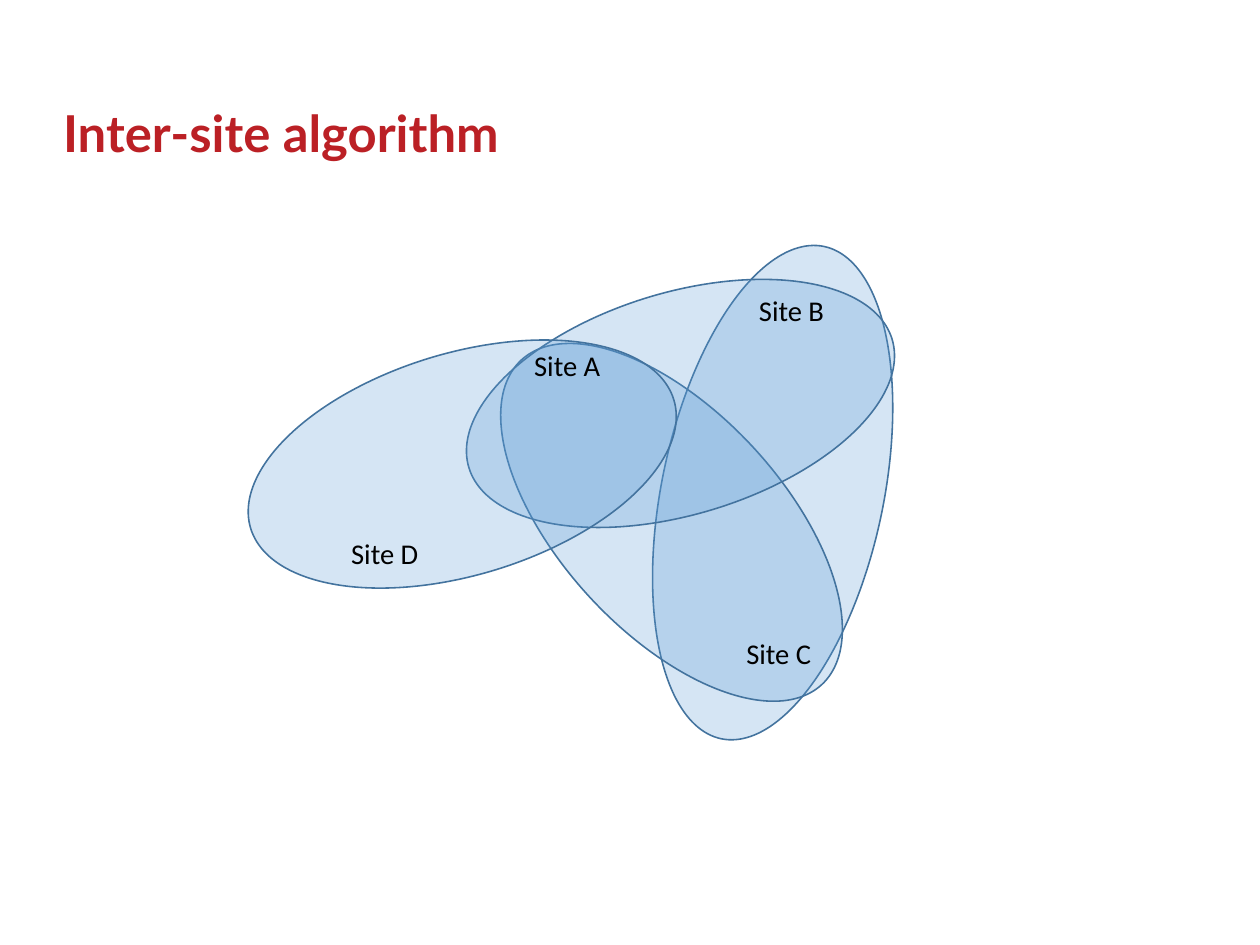
from lxml import etree
from pptx import Presentation
from pptx.dml.color import RGBColor
from pptx.enum.shapes import MSO_SHAPE
from pptx.enum.text import MSO_ANCHOR, MSO_AUTO_SIZE, PP_ALIGN
from pptx.oxml.ns import qn
from pptx.util import Pt

ELLIPSE = MSO_SHAPE.OVAL
MIDDLE = MSO_ANCHOR.MIDDLE
LEFT = PP_ALIGN.LEFT
NO_FIT = MSO_AUTO_SIZE.NONE
FIT_SHAPE = MSO_AUTO_SIZE.SHAPE_TO_FIT_TEXT
TITLE_ONLY = 5

COLORS = {
    "title": "BB2025",
    "overlap": "5B9BD5",
    "outline": "43739E",
    "label": "000000",
}


def color(name):
    return RGBColor.from_string(COLORS[name])


def style_text(paragraph, font_name, size, color_name, bold):
    for run in paragraph.runs:
        run.font.name = font_name
        run.font.size = Pt(size)
        run.font.bold = bold
        run.font.color.rgb = color(color_name)


prs = Presentation()
prs.slide_width = Pt(793.7)
prs.slide_height = Pt(595.28)
slide = prs.slides.add_slide(prs.slide_layouts[TITLE_ONLY])

region_height = 139.7
regions = [
    (328.3, 240.5, 316.8, 101.8),
    (283.7, 259.2, 278.6, 47.2),
    (289.4, 184.3, 278.6, 343.1),
    (151.9, 222.5, 278.6, 343.1),
]
for left, top, width, angle in regions:
    region = slide.shapes.add_shape(
        ELLIPSE, Pt(left), Pt(top), Pt(width), Pt(region_height))
    region.rotation = angle
    region.shadow.inherit = False
    region.fill.solid()
    region.fill.fore_color.rgb = color("overlap")
    fill_color = region.fill._xPr.find(qn("a:solidFill"))[0]
    etree.SubElement(fill_color, qn("a:alpha"), val="25000")
    region.line.color.rgb = color("outline")
    region.line.width = Pt(1)

title = slide.shapes.title
title.left, title.top = Pt(39.7), Pt(23.8)
title.width, title.height = Pt(714.2), Pt(99.4)
heading = title.text_frame
heading.text = "Inter-site algorithm"
heading.auto_size = NO_FIT
heading.vertical_anchor = MIDDLE
heading.margin_left = heading.margin_right = heading.margin_bottom = 0
heading.margin_top = Pt(19.6)
heading.paragraphs[0].alignment = LEFT
style_text(heading.paragraphs[0], "Lato", 32, "title", True)

sites = [
    ("Site A", 329.4, 215.6),
    ("Site B", 471, 180.7),
    ("Site C", 463, 397.1),
    ("Site D", 214.1, 334.1),
]
for site, left, top in sites:
    label = slide.shapes.add_textbox(Pt(left), Pt(top), Pt(56.5), Pt(29))
    label.text_frame.text = site
    label.text_frame.word_wrap = False
    label.text_frame.auto_size = FIT_SHAPE
    style_text(label.text_frame.paragraphs[0], "Calibri", 18, "label", False)

prs.save("out.pptx")
